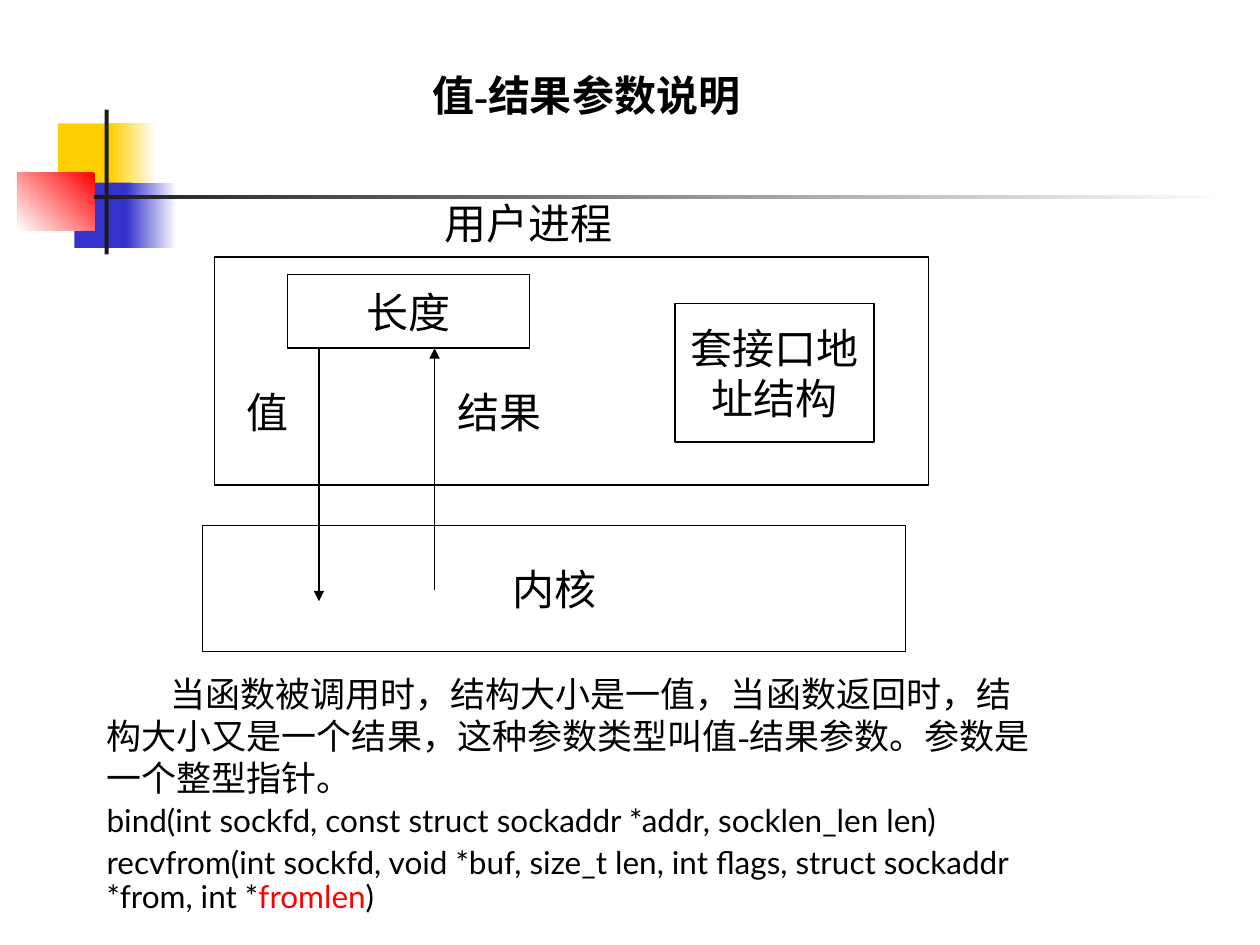
import pptx
import pptx.dml.color
import pptx.enum.shapes
import pptx.enum.text
import pptx.oxml
import pptx.oxml.ns
import pptx.util

Cm = pptx.util.Cm
Pt = pptx.util.Pt
SHAPE = pptx.enum.shapes.MSO_SHAPE
ALIGN = pptx.enum.text.PP_ALIGN
ANCHOR = pptx.enum.text.MSO_ANCHOR

COLORS = {
    "white": "FFFFFF",
    "black": "000000",
    "yellow": "FFCF01",
    "blue": "3333CC",
    "red": "FF0000",
    "bar": "1C1C1C",
}
SERIF = "Times New Roman"
SANS = "Lato"


def rgb(name):
    return pptx.dml.color.RGBColor.from_string(COLORS[name])


def add_rectangle(slide, box, fill):
    shape = slide.shapes.add_shape(SHAPE.RECTANGLE, *map(Cm, box))
    shape.shadow.inherit = False
    shape.fill.solid()
    shape.fill.fore_color.rgb = rgb(fill)
    shape.line.fill.background()
    return shape


def add_gradient(slide, box, start, end, angle=180):
    shape = add_rectangle(slide, box, start)
    shape.fill.gradient()
    shape.fill.gradient_angle = angle
    for stop, color, position in zip(shape.fill.gradient_stops, (start, end), (0, 1)):
        stop.color.rgb = rgb(color)
        stop.position = position


def format_run(run, size, font=SERIF, color="black", bold=False):
    run.font.size = Pt(size)
    run.font.name = font
    run.font.bold = bold
    run.font.color.rgb = rgb(color)


def add_box(slide, box, text="", wrap=False):
    shape = add_rectangle(slide, box, "white")
    shape.line.color.rgb = rgb("black")
    shape.line.width = Pt(0.75)
    if text:
        frame = shape.text_frame
        frame.text = text
        frame.word_wrap = wrap
        frame.vertical_anchor = ANCHOR.MIDDLE
        frame.paragraphs[0].alignment = ALIGN.CENTER
        format_run(frame.paragraphs[0].runs[0], 24)


def add_label(slide, box, text, size=24, space_before=15, bold=False):
    shape = slide.shapes.add_textbox(*map(Cm, box))
    frame = shape.text_frame
    frame.text = text
    frame.word_wrap = True
    paragraph = frame.paragraphs[0]
    paragraph.space_before = Pt(space_before)
    format_run(paragraph.runs[0], size, bold=bold)
    return frame


def add_code(frame, pieces, line_spacing):
    paragraph = frame.add_paragraph()
    paragraph.space_before = Pt(4.5)
    paragraph.line_spacing = line_spacing
    for text, color in pieces:
        run = paragraph.add_run()
        run.text = text
        format_run(run, 18, SANS, color)


def add_arrow(slide, x, start, end):
    connector = slide.shapes.add_connector(
        pptx.enum.shapes.MSO_CONNECTOR.STRAIGHT, Cm(x), Cm(start), Cm(x), Cm(end))
    connector.line.color.rgb = rgb("black")
    connector.line.width = Pt(0.75)
    line = connector.line._get_or_add_ln()
    namespace = pptx.oxml.ns.nsdecls("a")
    line.append(pptx.oxml.parse_xml(f'<a:tailEnd {namespace} type="triangle"/>'))
    line.addnext(pptx.oxml.parse_xml(f"<a:effectLst {namespace}/>"))


def add_decoration(slide):
    add_rectangle(slide, (1.17, 2.49, 1.22, 1.32), "yellow")
    add_gradient(slide, (2.24, 2.49, 0.91, 1.32), "white", "yellow")
    add_rectangle(slide, (1.5, 3.68, 1.17, 1.32), "blue")
    add_gradient(slide, (2.54, 3.68, 1.02, 1.32), "white", "blue")
    add_gradient(slide, (0.36, 3.48, 1.55, 1.17), "red", "white", 225)
    add_rectangle(slide, (2.11, 2.21, 0.08, 2.92), "bar")
    add_gradient(slide, (1.9, 3.94, 22.86, 0.08), "white", "bar")


def add_diagram(slide):
    add_box(slide, (4.32, 5.18, 14.4, 4.6))
    add_box(slide, (4.09, 10.59, 14.17, 2.54), "内核")
    add_box(slide, (5.79, 5.54, 4.88, 1.48), "长度")
    add_box(slide, (13.61, 6.12, 4.01, 2.79), "套接口地址结构", wrap=True)
    add_label(slide, (8.71, 3.86, 4.88, 1.27), "用户进程")
    add_arrow(slide, 6.43, 7.02, 12.12)
    add_arrow(slide, 8.76, 11.89, 7.02)
    add_label(slide, (8.97, 7.67, 2.97, 1.27), "结果")
    add_label(slide, (4.72, 7.67, 1.7, 1.27), "值")


def add_explanation(slide):
    frame = add_label(
        slide, (1.9, 13.44, 19.25, 5.13),
        "当函数被调用时，结构大小是一值，当函数返回时，结构大小又是一个结果，"
        "这种参数类型叫值-结果参数。参数是一个整型指针。",
        size=20, space_before=12.5)
    frame.paragraphs[0]._p.get_or_add_pPr().set("indent", str(Cm(1.28)))
    add_code(frame, [
        ("bind(int sockfd, const struct sockaddr *addr, socklen_len len)", "black"),
    ], 0.85)
    add_code(frame, [
        ("recvfrom(int sockfd, void *buf, size_t len, int flags, "
         "struct sockaddr *from, int *", "black"),
        ("fromlen", "red"),
        (")", "black"),
    ], 0.9)


def main():
    presentation = pptx.Presentation()
    presentation.slide_width = Cm(25.4)
    presentation.slide_height = Cm(19.05)
    slide = presentation.slides.add_slide(presentation.slide_layouts[6])
    add_decoration(slide)
    add_diagram(slide)
    add_explanation(slide)
    add_label(slide, (8.46, 1.27, 7.42, 1.27), "值-结果参数说明", bold=True)
    presentation.save("out.pptx")


if __name__ == "__main__":
    main()
